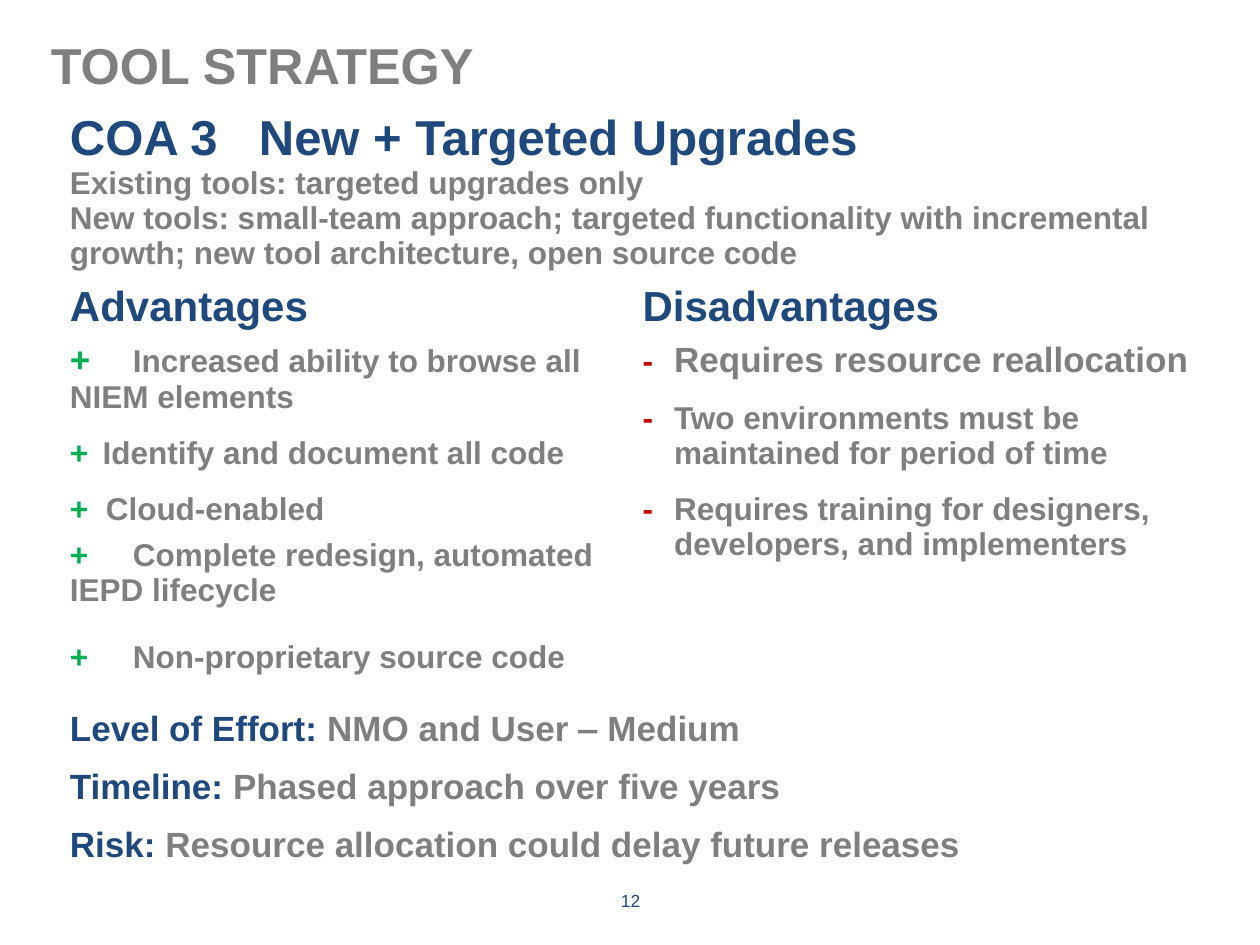
from lxml.etree import SubElement as Sub
from pptx import Presentation as Deck
from pptx.dml.color import RGBColor as Rgb
from pptx.enum.text import MSO_ANCHOR as Anchor, PP_ALIGN as Align
from pptx.oxml.ns import qn
from pptx.util import Inches, Pt

HUES = {"blue": "1F497D", "gray": "7F7F7F", "green": "00B050",
        "red": "C00000", "white": "FFFFFF"}


class Page:
    """Hold the text style and the current slide, placed on a grid of 100 by 75 units."""

    def __init__(self, deck, font="Arial"):
        self.font = font
        self.wide, self.high = deck.slide_width / 100, deck.slide_height / 75
        self.slide = deck.slides.add_slide(deck.slide_layouts[6])

    def x(self, cols):
        return int(cols * self.wide)

    def y(self, rows):
        return int(rows * self.high)

    def area(self, left, top, width, height):
        return self.x(left), self.y(top), self.x(width), self.y(height)

    def para(self, para, runs, hang=0, tab=None, bold=True, **form):
        props = para._p.get_or_add_pPr()
        props.set("marL", str(self.x(hang)))
        props.set("indent", str(-self.x(hang)))
        if tab:
            tabs = Sub(props, qn("a:tabLst"))
            Sub(tabs, qn("a:tab"), pos=str(self.x(tab)), algn="l")
        for name, value in form.items():
            setattr(para, name, value)
        for text, hue, size in runs:
            run = para.add_run()
            run.text = text
            look = {"name": self.font, "size": Pt(size), "bold": bold}
            for name, value in look.items():
                setattr(run.font, name, value)
            run.font.color.rgb = Rgb.from_string(HUES[hue])

    def fill(self, frame, items):
        for num, (runs, form) in enumerate(items):
            para = frame.add_paragraph() if num else frame.paragraphs[0]
            self.para(para, runs, **form)

    def text(self, area, runs, anchor=Anchor.TOP, **form):
        frame = self.slide.shapes.add_textbox(*self.area(*area)).text_frame
        for name, value in {"word_wrap": True, "vertical_anchor": anchor}.items():
            setattr(frame, name, value)
        self.fill(frame, [(runs, form)])

    def table(self, area, rows, highs, pads):
        shape = self.slide.shapes.add_table(len(rows), 2, *self.area(*area))
        grid = shape.table
        for num, (row, high, (top, base)) in enumerate(zip(rows, highs, pads)):
            grid.rows[num].height = self.y(high)
            for col in range(2):
                cell = grid.cell(num, col)
                cell.margin_top, cell.margin_bottom = self.y(top), self.y(base)
                cell.fill.solid()
                cell.fill.fore_color.rgb = Rgb.from_string(HUES["white"])
            if len(row) == 1:
                grid.cell(num, 0).merge(grid.cell(num, 1))
            for col, items in enumerate(row):
                self.fill(grid.cell(num, col).text_frame, items)


def head(text):
    return [(text, "blue", 24)], {"space_after": Pt(6)}


def plus(text, mark="+\t", size=18, after=12, **form):
    runs = [(mark, "green", size), (text, "gray", 18)]
    return runs, {"space_after": Pt(after), **form}


def minus(text, size=18):
    runs = [("-\t", "red", 18), (text, "gray", size)]
    return runs, {"space_after": Pt(12), "hang": 2.5}


def fact(label, text):
    return [[([(label, "blue", 20), (text, "gray", 20)], {})]]


def main():
    deck = Deck()
    deck.slide_width, deck.slide_height = Inches(10), Inches(7.5)
    page = Page(deck)
    page.text((3.05, 1.45, 90, 8.9), [("TOOL STRATEGY", "gray", 28.8)],
              line_spacing=Pt(40))
    goal = [
        ([("COA 3 \tNew + Targeted Upgrades", "blue", 28)], {"tab": 15}),
        ([("Existing tools: targeted upgrades only", "gray", 18)], {}),
        ([("New tools: small-team approach; targeted functionality with "
           "incremental growth; new tool architecture, open source code",
           "gray", 18)], {}),
    ]
    pros = [
        head("Advantages"),
        plus("Increased ability to browse all NIEM elements", size=20, tab=5),
        plus("Identify and document all code", "+\t ", hang=1.9),
        plus("Cloud-enabled", "+  ", after=6),
        plus("Complete redesign, automated IEPD lifecycle", after=18, tab=5),
        plus("Non-proprietary source code", after=0, tab=5),
    ]
    cons = [
        head("Disadvantages"),
        minus("Requires resource reallocation", 20),
        minus("Two environments must be maintained for period of time"),
        minus("Requires training for designers, developers, and implementers"),
    ]
    rows = [
        [goal],
        [pros, cons],
        fact("Level of Effort: ", "NMO and User ‒ Medium"),
        fact("Timeline: ", "Phased approach over five years"),
        fact("Risk: ", "Resource allocation could delay future releases"),
    ]
    pads = [(0.5, 0), (0, 0.5)] + [(0.5, 0.5)] * 3
    page.table((4.55, 8.3, 90.9, 63.7), rows, (12.3, 24.8, 4.6, 4.6, 6), pads)
    page.text((34.2, 69.5, 31.7, 4), [("12", "blue", 10)], Anchor.MIDDLE,
              bold=False, alignment=Align.CENTER)
    deck.save("out.pptx")


if __name__ == "__main__":
    main()
